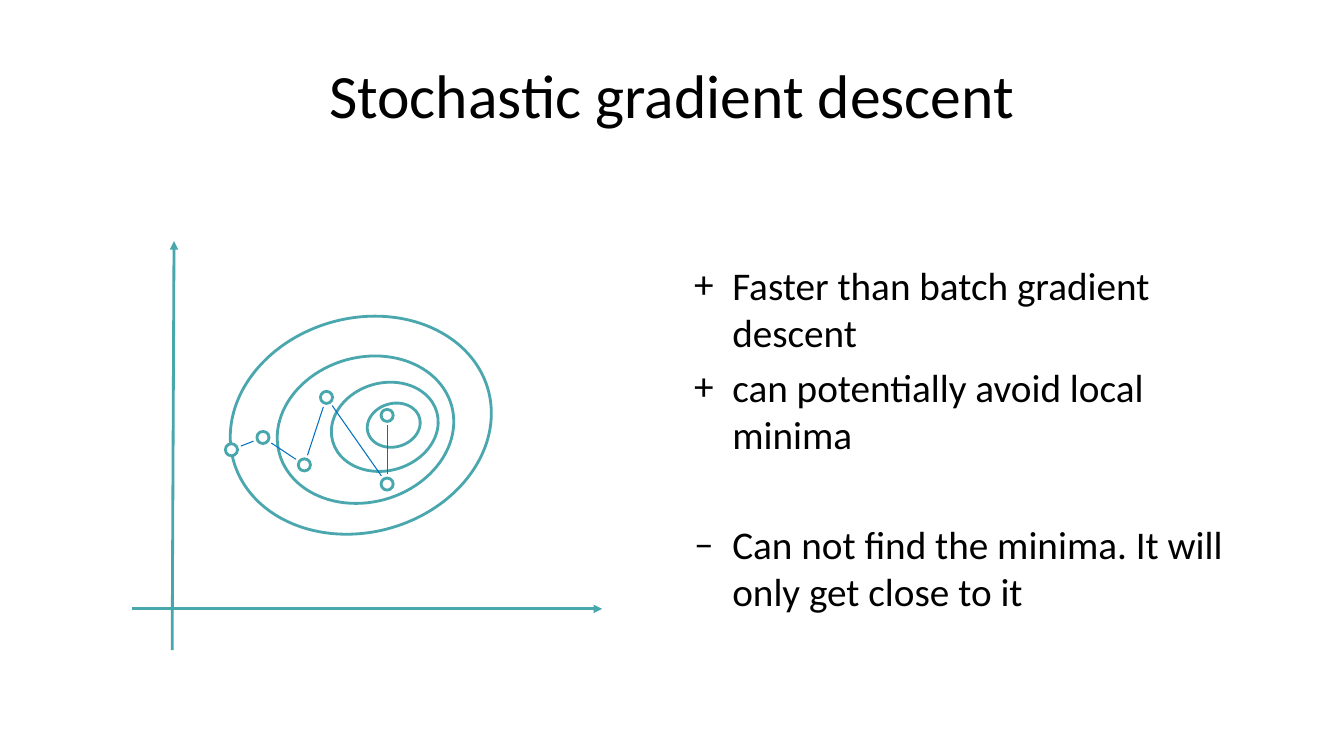
from dataclasses import dataclass
from itertools import pairwise
from math import hypot

from lxml.etree import SubElement as Sub
from pptx import Presentation
from pptx.dml.color import RGBColor as RGB
from pptx.enum.shapes import MSO_CONNECTOR as Conn, MSO_SHAPE as Shape
from pptx.enum.text import MSO_ANCHOR as Anchor, PP_ALIGN as Align
from pptx.oxml.ns import qn
from pptx.util import Inches, Pt


@dataclass(frozen=True)
class Theme:
    font: str = "Calibri"
    ink: RGB = RGB(0, 0, 0)
    paper: RGB = RGB(255, 255, 255)
    axis: RGB = RGB(0x48, 0xA6, 0xAD)
    ring: RGB = RGB(0x4B, 0xA7, 0xAE)
    step: RGB = RGB(0x00, 0x70, 0xC0)
    title: int = 44
    body: int = 28
    thick: float = 2
    thin: float = 0.75


@dataclass(frozen=True)
class Box:
    """An area in inches, divided into 100 columns and 100 rows."""
    x: float
    y: float
    w: float
    h: float

    def at(self, col, row):
        return self.x + self.w * col / 100, self.y + self.h * row / 100

    def sub(self, col, row, cols, rows):
        return Box(*self.at(col, row), self.w * cols / 100, self.h * rows / 100)

    def emu(self):
        return [Inches(v) for v in (self.x, self.y, self.w, self.h)]


T = Theme()
PAGE = Box(0, 0, 13.33, 7.5)

POINTS = [  # bullet, text, space before
    ("+", "Faster than batch gradient descent", 0),
    ("+", "can potentially avoid local minima", 5.6),
    ("–", "Can not find the minima. It will only get close to it", 45),
]
RINGS = [  # centre column and row, width in columns
    (49.7, 46.1, 38), (53.8, 45.4, 23), (55.7, 45, 11.4), (48.7, 45, 56.2),
]
STEPS = [
    (21.2, 51), (27.9, 48), (36.7, 54.7),
    (41.4, 38.2), (54.3, 59.4), (54.3, 42.6),
]
RATIO, TILT = 0.81, 344.5  # ring height to width, ring rotation
DOT, GAP = 0.12, 0.1  # dot size, distance from dot centre to path line


def frame(slide, box):
    text = slide.shapes.add_textbox(*box.emu()).text_frame
    text.word_wrap = True
    return text


def style(par, size):
    font = par.font
    font.name, font.size, font.color.rgb = T.font, Pt(size), T.ink


def line(slide, start, end, color, width, arrow=False):
    ends = [Inches(v) for v in (*start, *end)]
    link = slide.shapes.add_connector(Conn.STRAIGHT, *ends)
    link.line.color.rgb, link.line.width = color, Pt(width)
    if arrow:
        Sub(link.line._get_or_add_ln(), qn("a:tailEnd"), type="triangle")
    Sub(link._element.spPr, qn("a:effectLst"))


def oval(slide, mid, w, h, color, fill=None, turn=0):
    box = Box(mid[0] - w / 2, mid[1] - h / 2, w, h)
    item = slide.shapes.add_shape(Shape.OVAL, *box.emu())
    item.shadow.inherit = False
    item.rotation = turn
    item.line.color.rgb, item.line.width = color, Pt(T.thick)
    if fill is None:
        item.fill.background()
    else:
        item.fill.solid()
        item.fill.fore_color.rgb = fill


def title(slide, box):
    text = frame(slide, box)
    text.vertical_anchor = Anchor.MIDDLE
    par = text.paragraphs[0]
    par.text, par.alignment = "Stochastic gradient descent", Align.CENTER
    style(par, T.title)


def points(slide, box):
    text = frame(slide, box)
    for i, (mark, words, gap) in enumerate(POINTS):
        par = text.add_paragraph() if i else text.paragraphs[0]
        par.text, par.space_before = words, Pt(gap)
        props = par._p.get_or_add_pPr()
        indent = Inches(0.38)
        props.set("marL", str(indent))
        props.set("indent", str(-indent))
        Sub(props, qn("a:buFont"), typeface=T.font)
        Sub(props, qn("a:buChar"), char=mark)
        style(par, T.body)


def plot(slide, box):
    """Axes, contour rings and the descent path."""
    for start, end in [((0, 89.9), (100, 89.9)), ((8.6, 100), (9, 0))]:
        line(slide, box.at(*start), box.at(*end), T.axis, T.thick, True)
    for col, row, cols in RINGS:
        wide = box.w * cols / 100
        oval(slide, box.at(col, row), wide, wide * RATIO, T.ring, turn=TILT)
    dots = [box.at(*step) for step in STEPS]
    for dot in dots:
        oval(slide, dot, DOT, DOT, T.axis, T.paper)
    for (ax, ay), (bx, by) in pairwise(dots):
        cut = GAP / hypot(bx - ax, by - ay)
        dx, dy = (bx - ax) * cut, (by - ay) * cut
        line(slide, (ax + dx, ay + dy), (bx - dx, by - dy), T.step, T.thin)


def main():
    deck = Presentation()
    deck.slide_width, deck.slide_height = Inches(PAGE.w), Inches(PAGE.h)
    slide = deck.slides.add_slide(deck.slide_layouts[6])
    title(slide, PAGE.sub(5, 4, 90, 16.7))
    points(slide, PAGE.sub(50.9, 33.9, 44.2, 55.5))
    plot(slide, PAGE.sub(9.8, 31.9, 35, 54.1))
    deck.save("out.pptx")


if __name__ == "__main__":
    main()
